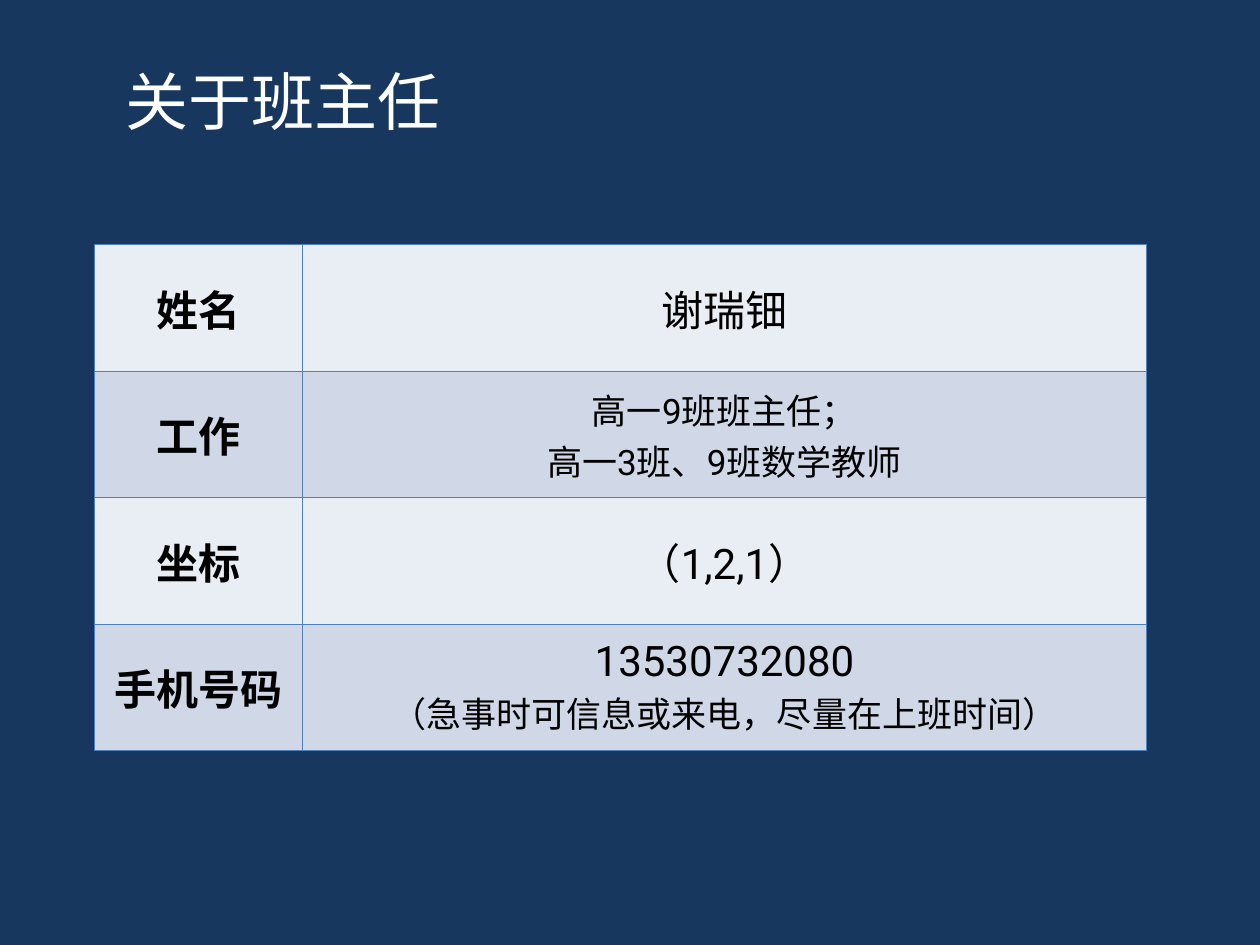
from lxml.etree import SubElement
from pptx import Presentation
from pptx.dml.color import RGBColor
from pptx.enum.text import MSO_ANCHOR, MSO_AUTO_SIZE, PP_ALIGN
from pptx.oxml.ns import qn
from pptx.util import Inches, Pt

NAVY = RGBColor(0x17, 0x37, 0x5E)
WHITE = RGBColor(0xFF, 0xFF, 0xFF)
BLACK = RGBColor(0, 0, 0)
BORDER = RGBColor(0x4F, 0x81, 0xBD)
BANDS = (RGBColor(0xE9, 0xED, 0xF4), RGBColor(0xD0, 0xD8, 0xE8))
LATIN_FONT, CHINESE_FONT = "Roboto", "Noto Sans CJK SC"

TITLE = "关于班主任"
PROFILE = [
    ("姓名", [("谢瑞钿", 24)]),
    ("工作", [("高一9班班主任；", 20), ("高一3班、9班数学教师", 20)]),
    ("坐标", [("（1,2,1）", 24)]),
    ("手机号码", [("13530732080", 24), ("（急事时可信息或来电，尽量在上班时间）", 20)]),
]
TITLE_BOX = (0.9, 0.45, 7.4, 0.7)
TABLE_LEFT, TABLE_TOP = 0.75, 1.94
COLUMN_WIDTHS = (1.65, 6.7)
ROW_HEIGHT = 1.005


def write_lines(frame, lines, alignment, **format_values):
    for index, (text, size) in enumerate(lines):
        paragraph = frame.add_paragraph() if index else frame.paragraphs[0]
        paragraph.alignment = alignment
        run = paragraph.add_run()
        run.text = text
        run.font.size = Pt(size)
        run.font.color.rgb = format_values["color"]
        for name in ("name", "bold"):
            setattr(run.font, name, format_values[name])
        SubElement(run.font._element, qn("a:ea"), typeface=CHINESE_FONT)


def add_borders(cell):
    properties = cell._tc.get_or_add_tcPr()
    for side in ("lnL", "lnR", "lnT", "lnB"):
        line = SubElement(properties, qn(f"a:{side}"), w=str(Pt(0.45)))
        fill = SubElement(line, qn("a:solidFill"))
        SubElement(fill, qn("a:srgbClr"), val=str(BORDER))


def add_title(slide):
    box = slide.shapes.add_textbox(*map(Inches, TITLE_BOX))
    frame = box.text_frame
    frame.word_wrap = True
    frame.auto_size = MSO_AUTO_SIZE.SHAPE_TO_FIT_TEXT
    write_lines(frame, [(TITLE, 36)], PP_ALIGN.LEFT,
                color=WHITE, name=CHINESE_FONT, bold=False)


def add_profile_table(slide):
    table = slide.shapes.add_table(
        len(PROFILE), len(COLUMN_WIDTHS), Inches(TABLE_LEFT), Inches(TABLE_TOP),
        Inches(sum(COLUMN_WIDTHS)), Inches(ROW_HEIGHT * len(PROFILE))).table
    table.first_row = table.horz_banding = False
    for column, width in zip(table.columns, COLUMN_WIDTHS):
        column.width = Inches(width)
    for row_index, (label, details) in enumerate(PROFILE):
        table.rows[row_index].height = Inches(ROW_HEIGHT)
        for column_index, lines in enumerate(([(label, 24)], details)):
            cell = table.cell(row_index, column_index)
            cell.vertical_anchor = MSO_ANCHOR.MIDDLE
            add_borders(cell)
            cell.fill.solid()
            cell.fill.fore_color.rgb = BANDS[row_index % 2]
            write_lines(cell.text_frame, lines, PP_ALIGN.CENTER,
                        color=BLACK, name=LATIN_FONT, bold=column_index == 0)


def main():
    presentation = Presentation()
    presentation.slide_width, presentation.slide_height = Inches(10), Inches(7.5)
    slide = presentation.slides.add_slide(presentation.slide_layouts[6])
    slide.background.fill.solid()
    slide.background.fill.fore_color.rgb = NAVY
    add_title(slide)
    add_profile_table(slide)
    presentation.save("out.pptx")


if __name__ == "__main__":
    main()
